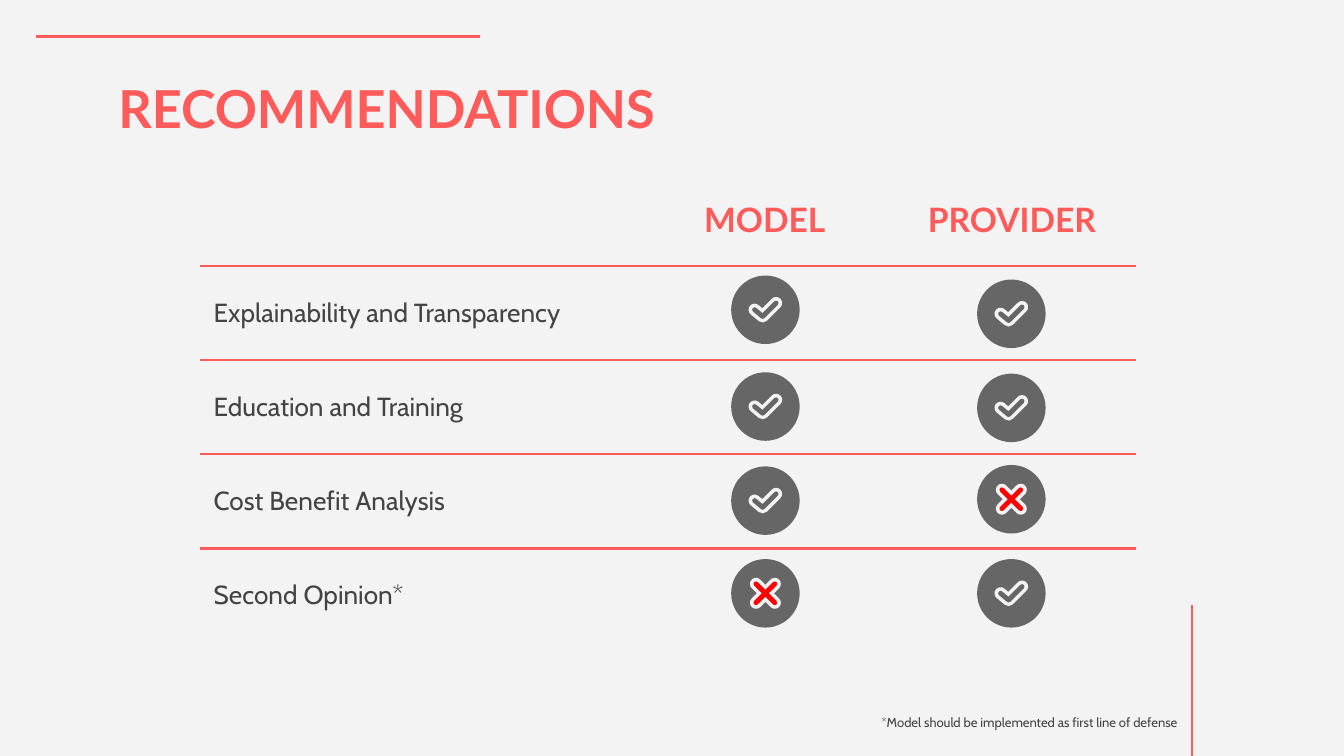
from dataclasses import dataclass

from lxml import etree
from pptx import Presentation
from pptx.dml.color import RGBColor
from pptx.enum.shapes import MSO_CONNECTOR, MSO_SHAPE
from pptx.enum.text import MSO_ANCHOR, MSO_AUTO_SIZE, PP_ALIGN
from pptx.oxml.ns import qn
from pptx.util import Inches, Pt

OVAL = MSO_SHAPE.OVAL
STRAIGHT = MSO_CONNECTOR.STRAIGHT
TOP, MIDDLE = MSO_ANCHOR.TOP, MSO_ANCHOR.MIDDLE
LEFT, CENTER = PP_ALIGN.LEFT, PP_ALIGN.CENTER
FIXED, GROW = MSO_AUTO_SIZE.NONE, MSO_AUTO_SIZE.SHAPE_TO_FIT_TEXT


@dataclass(frozen=True)
class Theme:
    back: str = "F3F3F3"
    accent: str = "FF5B5B"
    ink: str = "434343"
    disc: str = "666666"
    cross: str = "FF0000"
    head: str = "Lato"
    body: str = "Cabin"
    title: int = 28
    label: int = 18
    text: int = 14
    note: int = 7
    rule: float = 1.5
    halo: float = 6.5
    core: float = 2.6


THEME = Theme()

# Widescreen slide, 16 by 9
WIDE = 10
HIGH = WIDE * 9 / 16

HEADS = ["", "MODEL", "PROVIDER"]
TOPICS = ["Explainability and Transparency", "Education and Training",
          "Cost Benefit Analysis", "Second Opinion*"]
WIDTHS = [3.28, 1.84, 1.84]
ROW = 0.7

# Icon strokes as offsets from the disc centre
SIZE = 0.51
TICK = [[(-0.08, 0), (-0.02, 0.05), (0.08, -0.05)]]
CROSS = [[(-0.07, -0.07), (0.07, 0.07)], [(0.07, -0.07), (-0.07, 0.07)]]

# Icon column: left edge, then top edge and verdict for each topic
MARKS = {
    5.44: [(2.05, True), (2.77, True), (3.47, True), (4.16, False)],
    7.27: [(2.08, True), (2.78, True), (3.46, False), (4.16, True)],
}


def rgb(code):
    return RGBColor.from_string(code)


def style(para, face, size, color, bold=False, align=LEFT):
    para.alignment = align
    font = para.font
    font.name, font.size, font.bold = face, Pt(size), bold
    font.color.rgb = rgb(color)


def pad(box):
    box.margin_left = box.margin_right = Inches(0.1)
    box.margin_top = box.margin_bottom = Inches(0.1)


def add_title(slide, text):
    title = slide.shapes.title
    title.left, title.top = Inches(0.78), Inches(0.47)
    title.width, title.height = Inches(8.44), Inches(0.51)
    frame = title.text_frame
    frame.text = text
    frame.auto_size = FIXED
    frame.vertical_anchor = TOP
    pad(frame)
    style(frame.paragraphs[0], THEME.head, THEME.title, THEME.accent, True)


def add_rule(slide, x1, y1, x2, y2):
    rule = slide.shapes.add_connector(
        STRAIGHT, Inches(x1), Inches(y1), Inches(x2), Inches(y2))
    rule.line.color.rgb = rgb(THEME.accent)
    rule.line.width = Pt(THEME.rule)
    etree.SubElement(rule._element.spPr, qn("a:effectLst"))


def set_edges(cell, over, under):
    """Draw the top and bottom edges on request and hide the others."""
    props = cell._tc.get_or_add_tcPr()
    edges = [("L", False), ("R", False), ("T", over), ("B", under)]
    for i, (side, shown) in enumerate(edges):
        edge = etree.Element(qn(f"a:ln{side}"), w=str(Pt(THEME.rule)))
        fill = etree.SubElement(
            edge, qn("a:solidFill" if shown else "a:noFill"))
        if shown:
            etree.SubElement(fill, qn("a:srgbClr"), val=THEME.accent)
        props.insert(i, edge)


def add_grid(slide):
    rows = [HEADS] + [[topic, "", ""] for topic in TOPICS]
    last = len(rows) - 1
    table = slide.shapes.add_table(
        len(rows), len(WIDTHS), Inches(1.49), Inches(1.28),
        Inches(sum(WIDTHS)), Inches(ROW * len(rows))).table
    table.first_row = table.horz_banding = False
    for col, width in zip(table.columns, WIDTHS):
        col.width = Inches(width)
    for r, row in enumerate(rows):
        table.rows[r].height = Inches(ROW)
        for c, text in enumerate(row):
            cell = table.cell(r, c)
            cell.text = text
            cell.vertical_anchor = MIDDLE
            pad(cell)
            cell.fill.background()
            set_edges(cell, r > 0, r < last)
            para = cell.text_frame.paragraphs[0]
            if r == 0:
                style(para, THEME.head, THEME.label, THEME.accent, True, CENTER)
            else:
                style(para, THEME.body, THEME.text, THEME.ink)


def add_stroke(slide, lines, x, y, color, width):
    """Draw open lines with round ends around the point x, y."""
    paths = [[(Inches(x + dx), Inches(y + dy)) for dx, dy in line]
             for line in lines]
    pen = slide.shapes.build_freeform(*paths[0][0])
    for i, path in enumerate(paths):
        if i:
            pen.move_to(*path[0])
        pen.add_line_segments(path[1:], close=False)
    shape = pen.convert_to_shape()
    shape.shadow.inherit = False
    shape.fill.background()
    shape.line.color.rgb = rgb(color)
    shape.line.width = Pt(width)
    line = shape.line._get_or_add_ln()
    line.set("cap", "rnd")
    etree.SubElement(line, qn("a:round"))


def add_icon(slide, left, top, good):
    disc = slide.shapes.add_shape(
        OVAL, Inches(left), Inches(top), Inches(SIZE), Inches(SIZE))
    disc.shadow.inherit = False
    disc.fill.solid()
    disc.fill.fore_color.rgb = rgb(THEME.disc)
    disc.line.fill.background()
    lines, core = (TICK, THEME.disc) if good else (CROSS, THEME.cross)
    x, y = left + SIZE / 2, top + SIZE / 2
    add_stroke(slide, lines, x, y, THEME.back, THEME.halo)
    add_stroke(slide, lines, x, y, core, THEME.core)


def add_note(slide, text):
    box = slide.shapes.add_textbox(
        Inches(6.46), Inches(5.27), Inches(2.45), Inches(0.22))
    frame = box.text_frame
    frame.text = text
    frame.word_wrap = False
    frame.auto_size = GROW
    style(frame.paragraphs[0], THEME.body, THEME.note, THEME.ink)


def main():
    deck = Presentation()
    deck.slide_width, deck.slide_height = Inches(WIDE), Inches(HIGH)
    slide = deck.slides.add_slide(deck.slide_layouts[5])
    slide.background.fill.solid()
    slide.background.fill.fore_color.rgb = rgb(THEME.back)

    # Accent rules and title
    add_rule(slide, 0.27, 0.27, 3.57, 0.27)
    add_rule(slide, 8.87, 4.5, 8.87, HIGH)
    add_title(slide, "RECOMMENDATIONS")

    # Comparison table with its verdict icons
    add_grid(slide)
    for left, marks in MARKS.items():
        for top, good in marks:
            add_icon(slide, left, top, good)

    # Footnote
    add_note(slide, "*Model should be implemented as first line of defense")
    deck.save("out.pptx")


if __name__ == "__main__":
    main()
